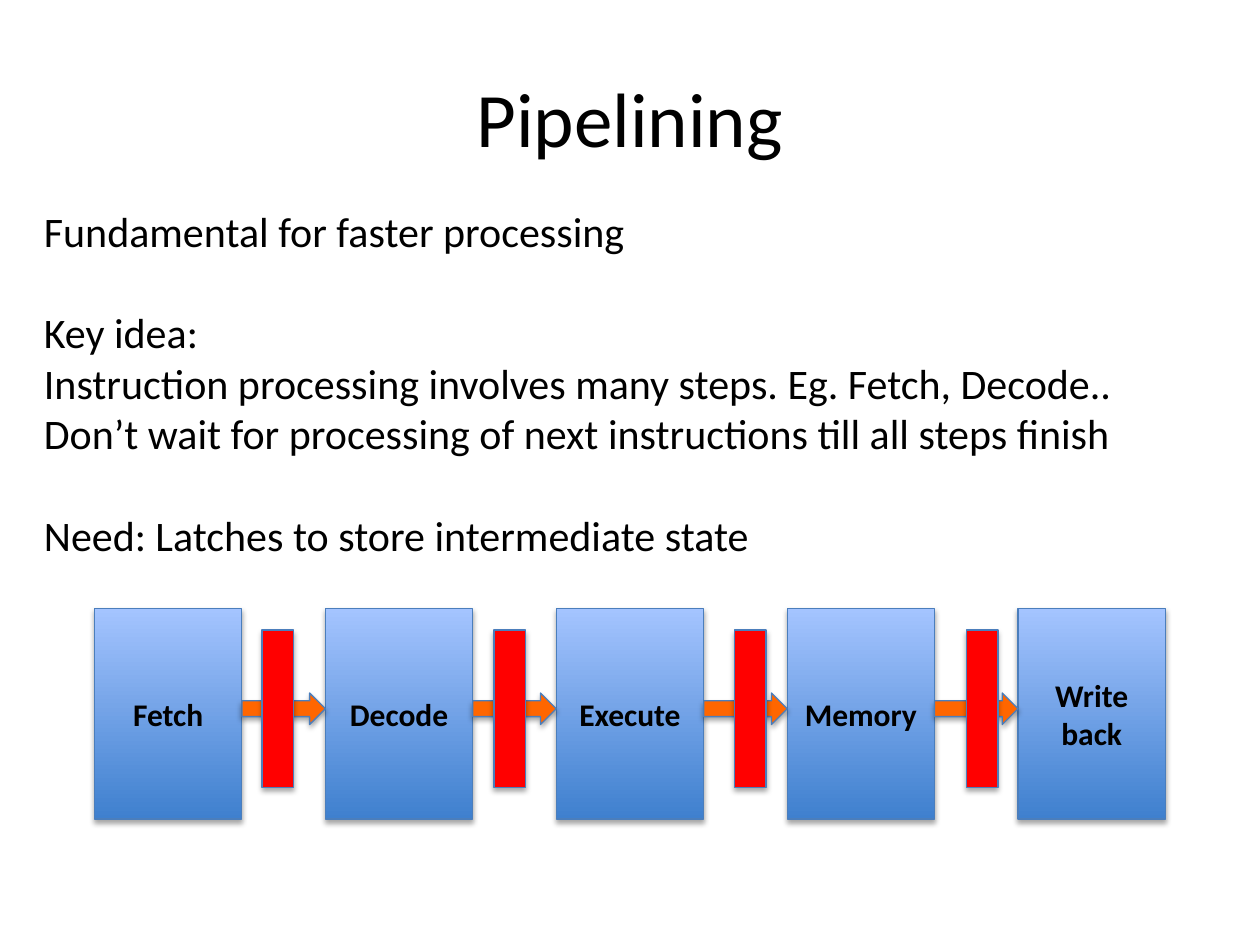
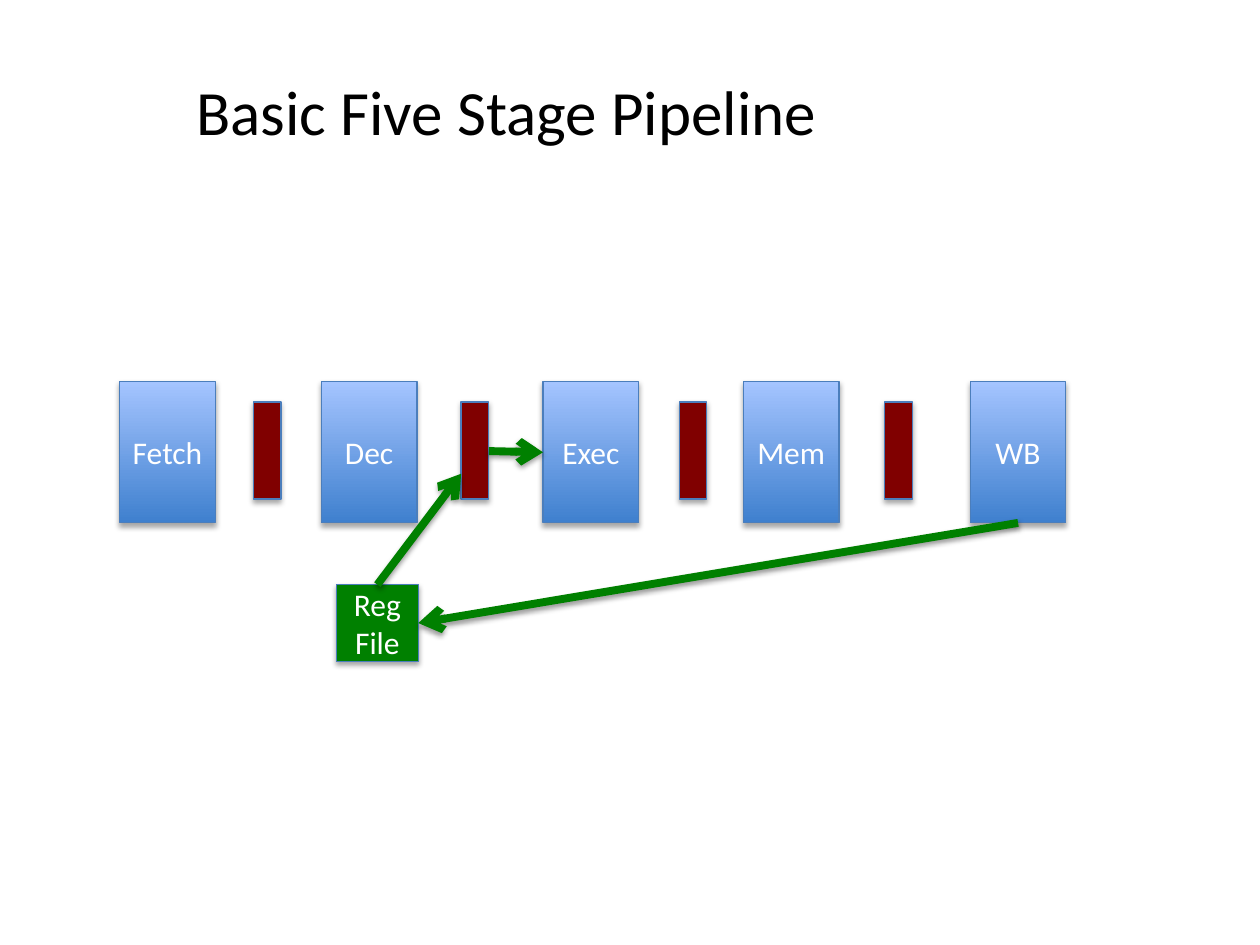
from lxml.etree import SubElement as Sub
from pptx import Presentation
from pptx.dml.color import RGBColor
from pptx.enum.shapes import MSO_CONNECTOR as Link, MSO_SHAPE as Shape
from pptx.enum.text import MSO_ANCHOR as Anchor, PP_ALIGN as Align
from pptx.oxml.ns import qn
from pptx.util import Inches, Pt

FONT = "Calibri"
COLORS = {
    "ink": "000000", "white": "FFFFFF", "edge": "4B7EBC",
    "deep": "3F80CE", "pale": "A4C4FF", "orange": "FF6600",
    "red": "FF0000", "maroon": "800000", "green": "008000",
}


def color(name):
    return RGBColor.from_string(COLORS[name])


def write(frame, lines, size, ink="ink", bold=False, align=Align.LEFT):
    frame.text = "\n".join(lines)
    for para in frame.paragraphs:
        para.alignment = align
        for run in para.runs:
            font = run.font
            font.name, font.size, font.bold = FONT, Pt(size), bold
            font.color.rgb = color(ink)


def add_text(slide, box, lines, size, wrap=True, **style):
    frame = slide.shapes.add_textbox(*map(Inches, box)).text_frame
    frame.word_wrap = wrap
    write(frame, lines, size, **style)
    return frame


def add_shade(part, alpha=35, drop=1.8):
    """Soft shadow straight below; call it after fill and line are set."""
    effects = Sub(part._element.spPr, qn("a:effectLst"))
    shade = Sub(effects, qn("a:outerShdw"), blurRad=str(Pt(3.1)),
                dist=str(Pt(drop)), dir="5400000", rotWithShape="0")
    black = Sub(shade, qn("a:srgbClr"), val=COLORS["ink"])
    Sub(black, qn("a:alpha"), val=str(alpha * 1000))


def add_block(slide, box, fill=None, kind=Shape.RECTANGLE):
    """Outlined block; without a fill name it gets the blue gradient."""
    block = slide.shapes.add_shape(kind, *map(Inches, box))
    if fill:
        block.fill.solid()
        block.fill.fore_color.rgb = color(fill)
    else:
        block.fill.gradient()
        block.fill.gradient_angle = 90
        for stop, name in zip(block.fill.gradient_stops, ("deep", "pale")):
            stop.color.rgb = color(name)
    block.line.color.rgb = color("edge")
    block.line.width = Pt(0.75)
    add_shade(block)
    return block


def add_label(block, label, **style):
    frame = block.text_frame
    frame.word_wrap = True
    frame.vertical_anchor = Anchor.MIDDLE
    frame.margin_left = frame.margin_right = Inches(0.05)
    write(frame, label.split("\n"), 18, align=Align.CENTER, **style)


def add_arrow(slide, start, end):
    arrow = slide.shapes.add_connector(
        Link.STRAIGHT, *map(Inches, start + end))
    arrow.line.color.rgb = color("green")
    arrow.line.width = Pt(4.5)
    Sub(arrow.line._get_or_add_ln(), qn("a:tailEnd"), type="arrow")
    add_shade(arrow, 38, 1.6)


def add_stages(slide, box, wide, steps, names, **style):
    """Stages of one width, at the given steps from the left of the box."""
    left, top, _, high = box
    for step, name in zip(steps, names):
        block = add_block(slide, (left + step, top, wide, high))
        add_label(block, name, **style)


def add_latches(slide, box, size, drop, steps, fill):
    for step in steps:
        add_block(slide, (box[0] + step, box[1] + drop, *size), fill)


def draw_flow(slide, box):
    """Five even stages, with an arrow and a latch in each gap."""
    left, top, width, _ = box
    names = ("Fetch", "Decode", "Execute", "Memory", "Write\nback")
    wide = 1.17
    pitch = (width - wide) / (len(names) - 1)
    steps = [i * pitch for i in range(len(names))]
    add_stages(slide, box, wide, steps, names, bold=True)
    for step in steps[:-1]:
        add_block(slide, (left + step + wide, top + 0.67, pitch - wide, 0.25),
                  "orange", Shape.RIGHT_ARROW)
    add_latches(slide, box, (0.25, 1.25), 0.17,
                (1.33, 3.17, 5.08, 6.92), "red")


def draw_path(slide, box):
    """Five stages, their latches and the register file with its arrows."""
    left, top, _, high = box
    wide, thin = 0.76, 0.22
    steps = (0, 1.6, 3.36, 4.95, 6.75)
    gaps = (1.06, 2.71, 4.44, 6.07)
    add_stages(slide, box, wide, steps,
               ("Fetch", "Dec", "Exec", "Mem", "WB"), ink="white")
    add_latches(slide, box, (thin, 0.77), 0.16, gaps, "maroon")

    # Register file
    x, y, w, h = left + 1.72, top + 1.61, 0.65, 0.61
    add_label(add_block(slide, (x, y, w, h), "green"), "Reg\nFile",
              ink="white")

    # Register read, write back and operand arrows
    latch = left + gaps[1]
    add_arrow(slide, (x + w / 2, y), (latch, top + 0.73))
    add_arrow(slide, (left + steps[4] + wide / 2, top + high),
              (x + w, y + h / 2))
    add_arrow(slide, (latch + thin, top + 0.55),
              (left + steps[2], top + high / 2))


def build_idea(slide):
    title = add_text(slide, (0.5, 0.3, 9, 1.25), ["Pipelining"], 44,
                     align=Align.CENTER)
    title.vertical_anchor = Anchor.MIDDLE
    body = add_text(slide, (0.25, 1.58, 9.75, 3.33), [
        "Fundamental for faster processing",
        "Key idea: ",
        "Instruction processing involves many steps. Eg. Fetch, Decode..",
        "Don’t wait for processing of next instructions till all steps finish",
        "Need: Latches to store intermediate state",
    ], 24)
    # One line of space above each new thought
    for i in (1, 4):
        body.paragraphs[i].space_before = Pt(29.3)
    draw_flow(slide, (0.75, 4.83, 8.5, 1.67))


def build_stages(slide):
    add_text(slide, (1.46, 0.53, 5.39, 0.71),
             ["Basic Five Stage Pipeline"], 36, wrap=False)
    draw_path(slide, (0.95, 3.03, 7.51, 1.12))


deck = Presentation()
deck.slide_width, deck.slide_height = Inches(10), Inches(7.5)
for build in (build_idea, build_stages):
    build(deck.slides.add_slide(deck.slide_layouts[6]))
deck.save("out.pptx")
